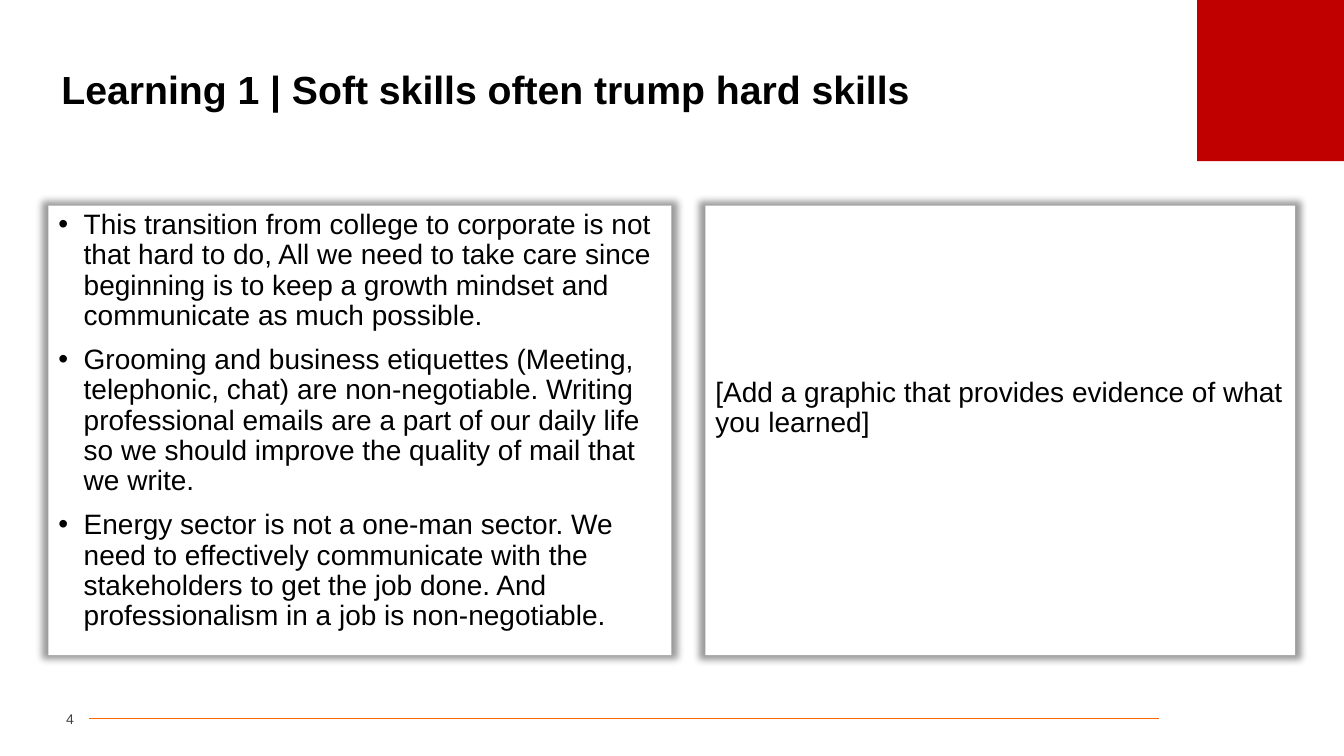
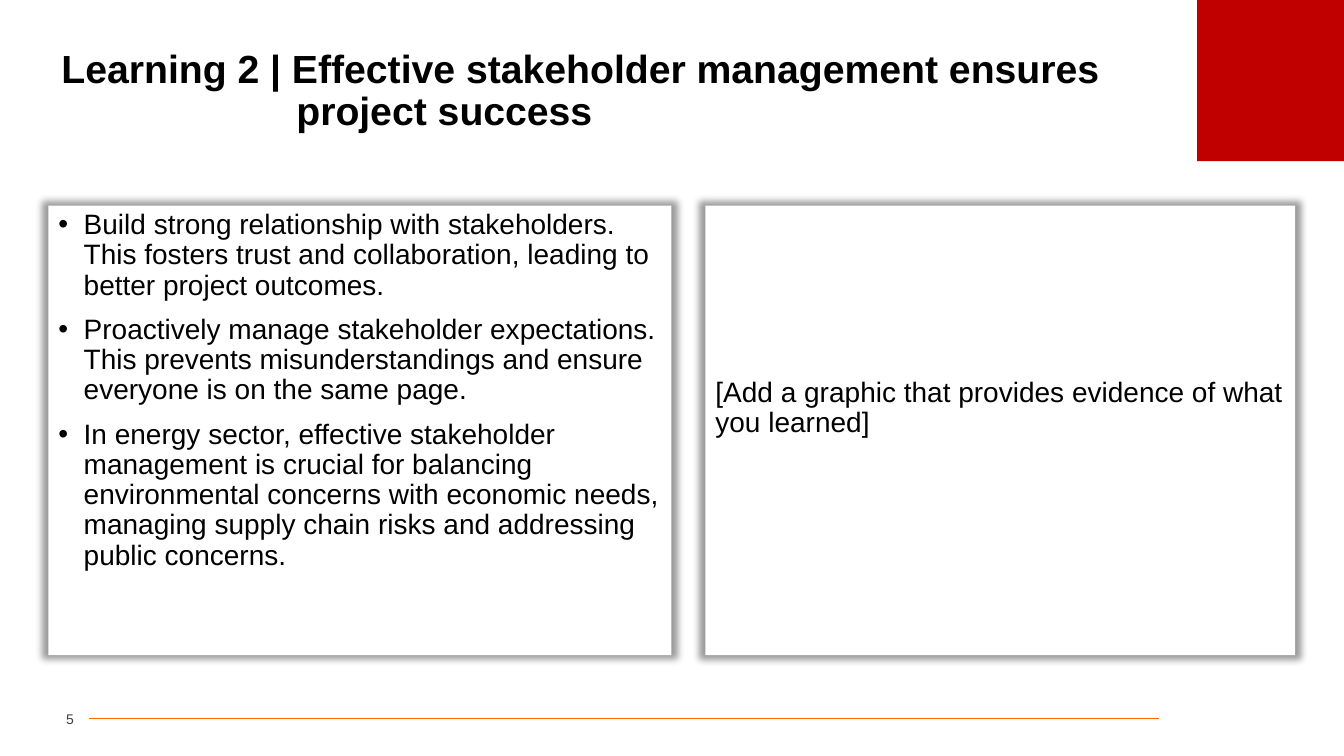
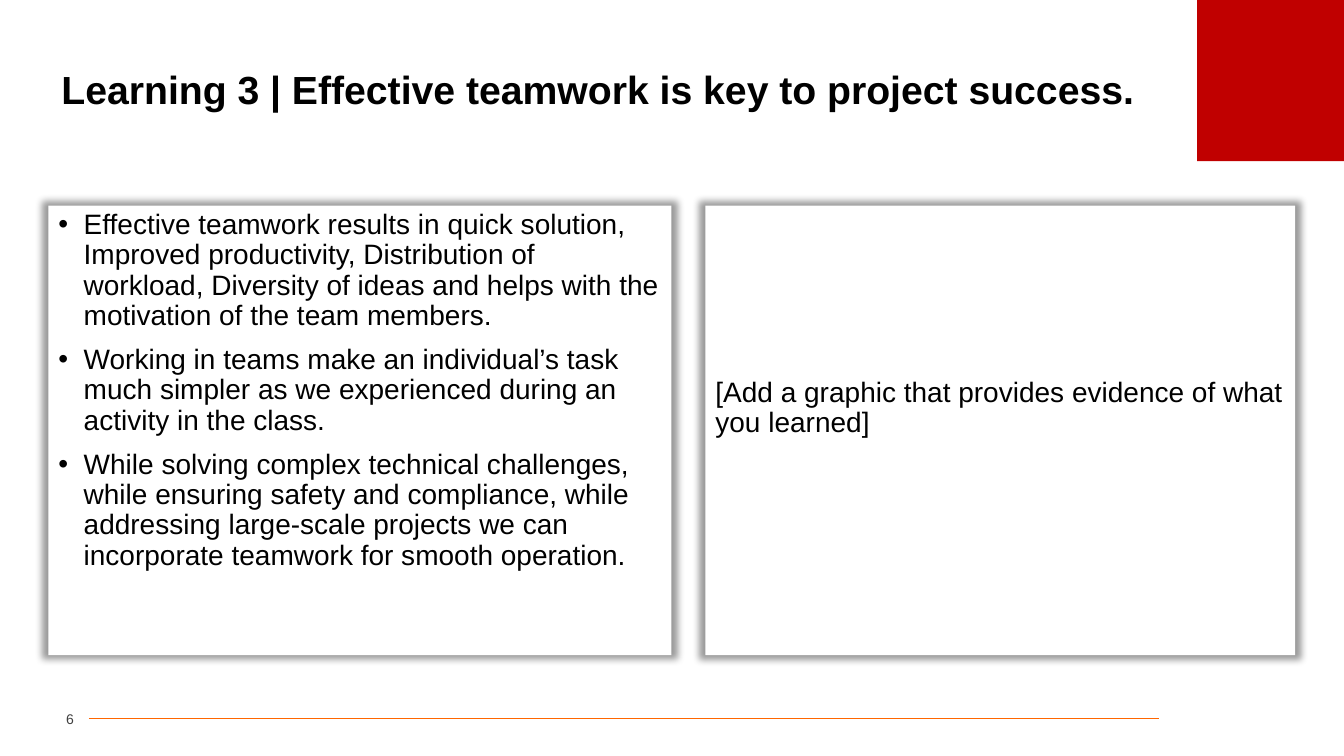
import dataclasses

import lxml.etree
import pptx
import pptx.dml.color
import pptx.enum.shapes
import pptx.enum.text
import pptx.oxml.ns
import pptx.util

Cm = pptx.util.Cm
Pt = pptx.util.Pt
qn = pptx.oxml.ns.qn
ANCHOR = pptx.enum.text.MSO_ANCHOR
ALIGN = pptx.enum.text.PP_ALIGN


@dataclasses.dataclass(frozen=True)
class Theme:
    font: str = "Arial"
    text: str = "000000"
    number: str = "404040"
    accent: str = "C00000"
    rule: str = "FF6600"
    panel: str = "FFFFFF"
    shadow: str = "000000"
    title_size: int = 28
    body_size: int = 20
    number_size: int = 10


THEME = Theme()
PANEL_TOP, PANEL_HEIGHT = 5.18, 11.33
TITLE_INDENT = 5.92
FIRST_NUMBER = 4
GRAPHIC_PROMPT = "[Add a graphic that provides evidence of what you learned]"

LEARNINGS = [
    (["Learning 1 | Soft skills often trump hard skills"],
     ["This transition from college to corporate is not that hard to do, All we need to take care "
      "since beginning is to keep a growth mindset and communicate as much possible.",
      "Grooming and business etiquettes (Meeting, telephonic, chat) are non-negotiable. Writing "
      "professional emails are a part of our daily life so we should improve the quality of mail "
      "that we write.",
      "Energy sector is not a one-man sector. We need to effectively communicate with the "
      "stakeholders to get the job done. And professionalism in a job is non-negotiable."]),
    (["Learning 2 | Effective stakeholder management ensures", "project success"],
     ["Build strong relationship with stakeholders. This fosters trust and collaboration, leading "
      "to better project outcomes.",
      "Proactively manage stakeholder expectations. This prevents misunderstandings and ensure "
      "everyone is on the same page.",
      "In energy sector, effective stakeholder management is crucial for balancing environmental "
      "concerns with economic needs, managing supply chain risks and addressing public "
      "concerns."]),
    (["Learning 3 | Effective teamwork is key to project success."],
     ["Effective teamwork results in quick solution, Improved productivity, Distribution of "
      "workload, Diversity of ideas and helps with the motivation of the team members.",
      "Working in teams make an individual’s task much simpler as we experienced during an "
      "activity in the class.",
      "While solving complex technical challenges, while ensuring safety and compliance, while "
      "addressing large-scale projects we can incorporate teamwork for smooth operation."]),
]


def rgb(value):
    return pptx.dml.color.RGBColor.from_string(value)


def write(tf, lines, size, color=THEME.text, bold=False, align=ALIGN.LEFT, anchor=ANCHOR.TOP,
          spacing=0.9, before=0, bullet=False, hang=0):
    """Fill a text frame, one paragraph a line; hang indents every line after the first."""
    tf.word_wrap = True
    tf.auto_size = pptx.enum.text.MSO_AUTO_SIZE.NONE
    tf.vertical_anchor = anchor
    for i, line in enumerate(lines):
        p = tf.paragraphs[0] if i == 0 else tf.add_paragraph()
        p.alignment = align
        p.line_spacing = spacing
        p.space_before = Pt(before)
        pPr = p._p.get_or_add_pPr()
        if bullet:
            pPr.set("marL", str(Cm(0.64)))
            pPr.set("indent", str(-Cm(0.64)))
            lxml.etree.SubElement(pPr, qn("a:buFont"), typeface=THEME.font)
            lxml.etree.SubElement(pPr, qn("a:buChar"), char="•")
        elif hang and i:
            pPr.set("marL", str(Cm(hang)))
        r = p.add_run()
        r.text = line
        r.font.name = THEME.font
        r.font.size = Pt(size)
        r.font.bold = bold
        r.font.color.rgb = rgb(color)


class Deck:
    def __init__(self):
        self.prs = pptx.Presentation()
        self.prs.slide_width, self.prs.slide_height = Cm(33.87), Cm(19.05)
        self.s = None

    def new_slide(self, title, number):
        self.s = self.prs.slides.add_slide(self.prs.slide_layouts[6])
        self.rule(2.24, 29.21, 18.11)
        self.rect(30.17, 0, 3.7, 4.06, THEME.accent)
        write(self.text_box(1.3, 1.32, 31.27, 1.98), title, THEME.title_size, bold=True,
              anchor=ANCHOR.MIDDLE, hang=TITLE_INDENT)
        tf = self.text_box(0.84, 17.75, 1.02, 0.74)
        tf.margin_left = tf.margin_right = 0
        write(tf, [str(number)], THEME.number_size, color=THEME.number, align=ALIGN.RIGHT,
              anchor=ANCHOR.MIDDLE, spacing=1.0)

    def rule(self, left, right, y):
        line = self.s.shapes.add_connector(pptx.enum.shapes.MSO_CONNECTOR.STRAIGHT,
                                           Cm(left), Cm(y), Cm(right), Cm(y))
        line.line.color.rgb = rgb(THEME.rule)
        line.line.width = Pt(0.5)
        lxml.etree.SubElement(line._element.spPr, qn("a:effectLst"))

    def rect(self, left, top, width, height, fill):
        sp = self.s.shapes.add_shape(pptx.enum.shapes.MSO_SHAPE.RECTANGLE,
                                     Cm(left), Cm(top), Cm(width), Cm(height))
        sp.fill.solid()
        sp.fill.fore_color.rgb = rgb(fill)
        sp.line.fill.background()
        sp.shadow.inherit = False
        return sp

    def text_box(self, left, top, width, height):
        return self.s.shapes.add_textbox(Cm(left), Cm(top), Cm(width), Cm(height)).text_frame

    def panel(self, left, width, lines, bottom_margin=0.13, **fmt):
        """White panel with a soft shadow on all sides."""
        sp = self.rect(left, PANEL_TOP, width, PANEL_HEIGHT, THEME.panel)
        effects = sp._element.spPr.find(qn("a:effectLst"))
        shadow = lxml.etree.SubElement(effects, qn("a:outerShdw"), blurRad=str(Pt(5)),
                                       sx="102000", sy="102000", algn="ctr", rotWithShape="0")
        color = lxml.etree.SubElement(shadow, qn("a:srgbClr"), val=THEME.shadow)
        lxml.etree.SubElement(color, qn("a:alpha"), val="40000")
        sp.text_frame.margin_bottom = Cm(bottom_margin)
        write(sp.text_frame, lines, THEME.body_size, before=10, **fmt)


def main():
    deck = Deck()
    for number, (title, points) in enumerate(LEARNINGS, FIRST_NUMBER):
        deck.new_slide(title, number)
        deck.panel(1.22, 15.7, points, bullet=True)
        deck.panel(17.78, 14.86, [GRAPHIC_PROMPT], bottom_margin=1.22, anchor=ANCHOR.MIDDLE)
    deck.prs.save("out.pptx")


if __name__ == "__main__":
    main()
